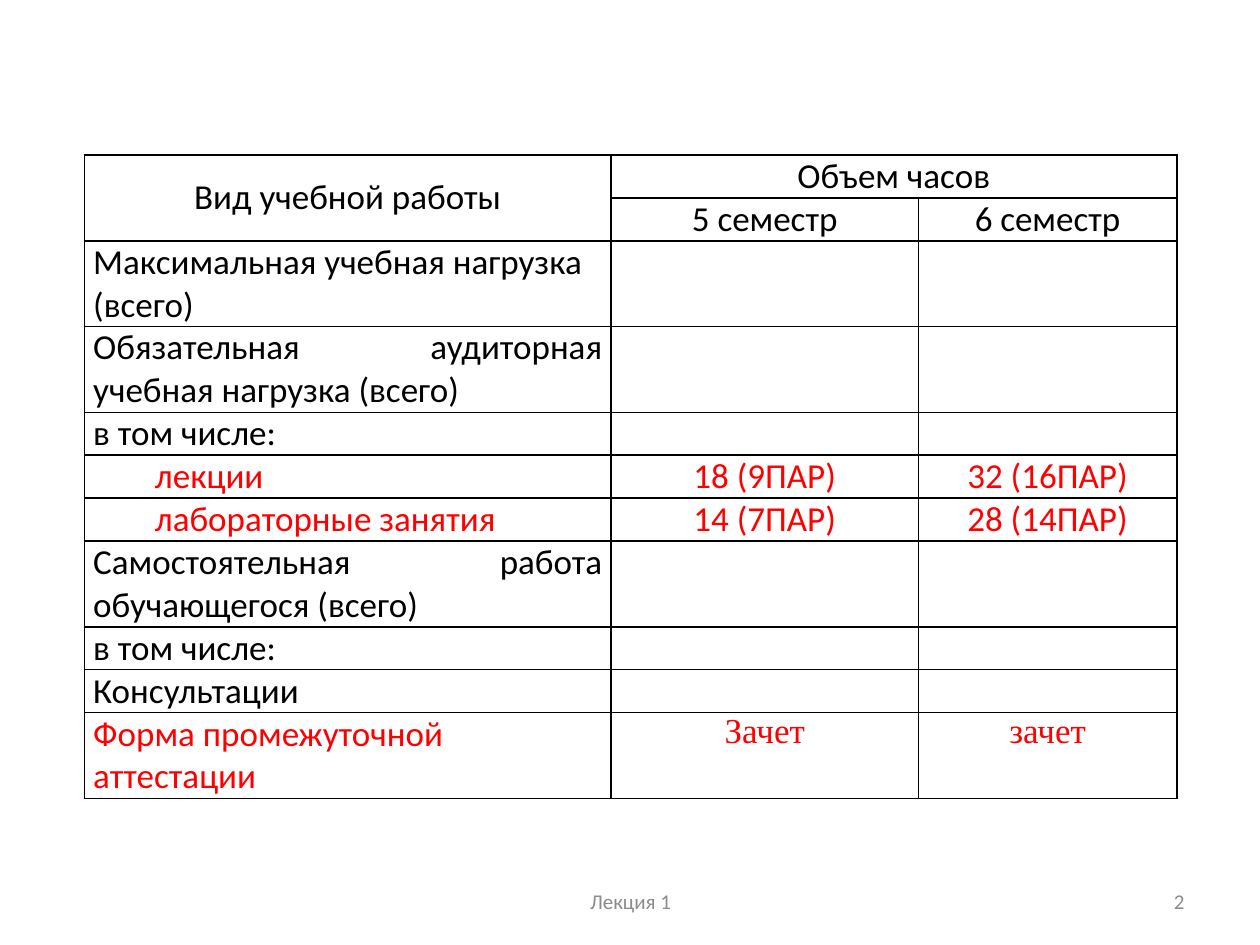
from lxml.etree import SubElement
from pptx import Presentation
from pptx.dml.color import RGBColor
from pptx.enum.text import MSO_ANCHOR, PP_ALIGN
from pptx.oxml.ns import qn
from pptx.util import Inches, Pt

BLACK = RGBColor(0, 0, 0)
RED = RGBColor(255, 0, 0)
GRAY = RGBColor(0x8C, 0x8C, 0x8C)
LEFT, MID, RIGHT, JUST = (PP_ALIGN.LEFT, PP_ALIGN.CENTER,
                          PP_ALIGN.RIGHT, PP_ALIGN.JUSTIFY)
LINE = 0.34


def write(frame, text, align, size, color, face="Calibri"):
    para = frame.paragraphs[0]
    para.alignment = align
    run = para.add_run()
    run.text = text
    look = {"size": Pt(size), "name": face}
    for key, val in look.items():
        setattr(run.font, key, val)
    run.font.color.rgb = color
    return para


def border(cell):
    props = cell._tc.get_or_add_tcPr()
    for side in ("lnL", "lnR", "lnT", "lnB"):
        edge = SubElement(props, qn("a:" + side), w=str(Pt(1)))
        fill = SubElement(edge, qn("a:solidFill"))
        SubElement(fill, qn("a:srgbClr"), val=str(BLACK))


deck = Presentation()
deck.slide_width, deck.slide_height = Inches(10), Inches(7.5)
slide = deck.slides.add_slide(deck.slide_layouts[6])

# Rows: texts, lines, first column alignment, colour, indent
rows = [
    (("Вид учебной работы", "Объем часов", ""), 1, MID, BLACK, 0),
    (("", "5 семестр", "6 семестр"), 1, MID, BLACK, 0),
    (("Максимальная учебная нагрузка (всего)", "", ""), 2, LEFT, BLACK, 0),
    (("Обязательная аудиторная учебная нагрузка (всего)", "", ""),
     2, JUST, BLACK, 0),
    (("в том числе:", "", ""), 1, JUST, BLACK, 0),
    (("лекции", "18 (9ПАР)", "32 (16ПАР)"), 1, JUST, RED, 0.49),
    (("лабораторные занятия", "14 (7ПАР)", "28 (14ПАР)"),
     1, JUST, RED, 0.49),
    (("Самостоятельная работа обучающегося (всего)", "", ""),
     2, JUST, BLACK, 0),
    (("в том числе:", "", ""), 1, JUST, BLACK, 0),
    (("Консультации", "", ""), 1, JUST, BLACK, 0),
    (("Форма промежуточной аттестации", "Зачет", "зачет"),
     2, LEFT, RED, 0),
]

# Table of hours
table = slide.shapes.add_table(len(rows), 3, Inches(0.67), Inches(1.23),
                               Inches(8.67), Inches(5)).table
table.first_row = table.horz_banding = False
for col, width in zip(table.columns, (4.18, 2.44, 2.05)):
    col.width = Inches(width)
table.cell(0, 0).merge(table.cell(1, 0))
table.cell(0, 1).merge(table.cell(0, 2))

room = {"margin_left": Inches(0.07), "margin_right": Inches(0.07),
        "margin_top": 0, "margin_bottom": 0}
for r, (texts, lines, align, color, indent) in enumerate(rows):
    table.rows[r].height = Inches(LINE * lines)
    for c, text in enumerate(texts):
        cell = table.cell(r, c)
        for key, val in room.items():
            setattr(cell, key, val)
        cell.vertical_anchor = MSO_ANCHOR.MIDDLE if r < 2 else MSO_ANCHOR.TOP
        border(cell)
        cell.fill.background()
        if not text:
            continue
        last = r == len(rows) - 1 and c > 0
        para = write(cell.text_frame, text, MID if c else align, 20, color,
                     "Times New Roman" if last else "Calibri")
        if indent and c == 0:
            para._p.get_or_add_pPr().set("indent", str(Inches(indent)))

# Footer and slide number
for text, left, width, align in (("Лекция 1", 3.42, 3.17, MID),
                                 ("2", 7.17, 2.33, RIGHT)):
    box = slide.shapes.add_textbox(Inches(left), Inches(6.95),
                                   Inches(width), Inches(0.4))
    frame = box.text_frame
    frame.word_wrap = True
    frame.vertical_anchor = MSO_ANCHOR.MIDDLE
    write(frame, text, align, 12, GRAY)

deck.save("out.pptx")
